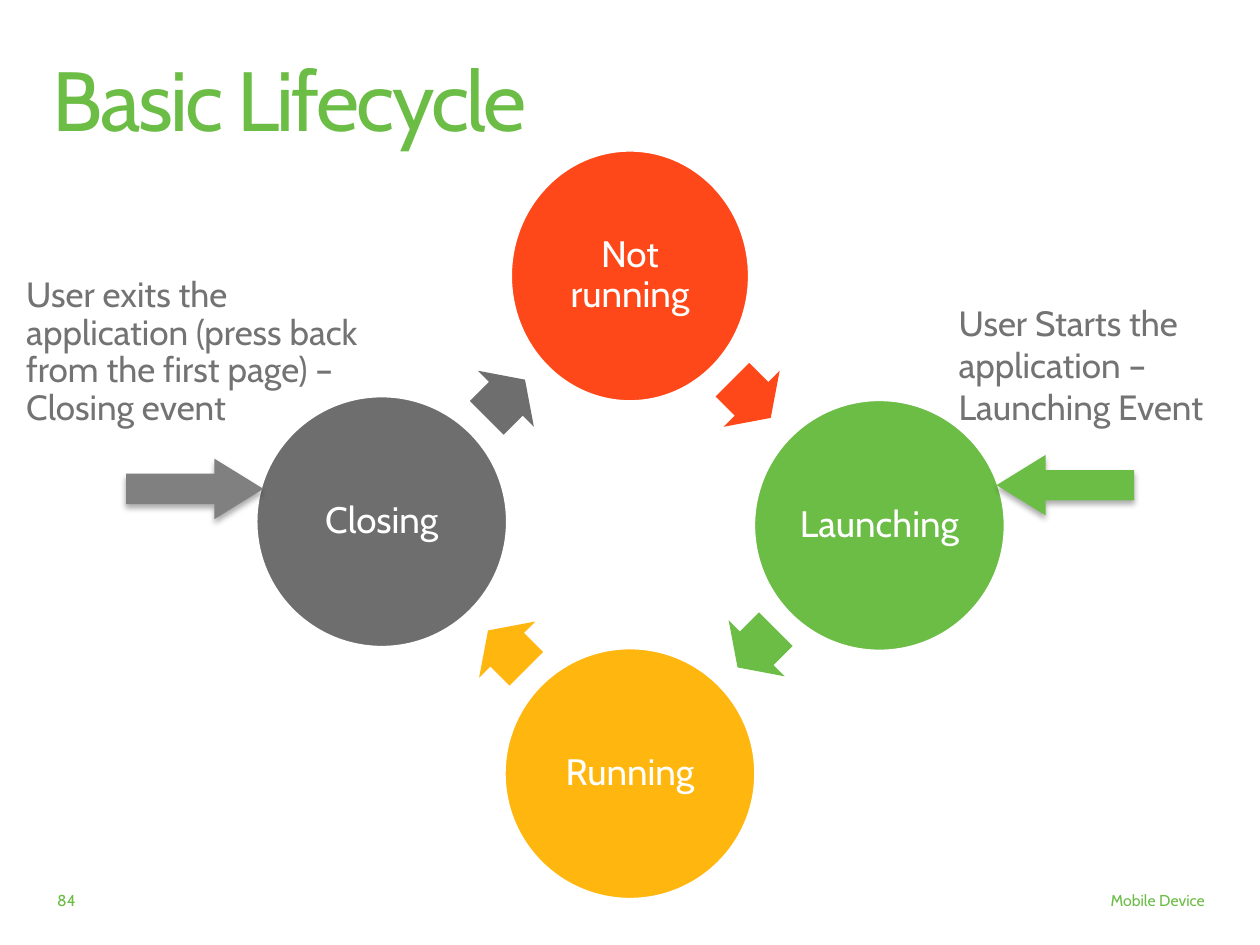
"""Build the Basic Lifecycle slide: four states in a cycle with two outside events."""
from lxml import etree
from pptx import Presentation
from pptx.dml.color import RGBColor
from pptx.enum import shapes, text
from pptx.oxml import ns
from pptx.util import Inches, Pt

FONT = "Cabin"
GREEN, RED, YELLOW, GRAY = "6BBD46", "FF4819", "FFB70F", "6E6E6E"
WHITE, NOTE_GRAY, ARROW_GRAY = "FFFFFF", "737373", "808080"
LEFT, CENTER, RIGHT = text.PP_ALIGN.LEFT, text.PP_ALIGN.CENTER, text.PP_ALIGN.RIGHT
TOP, MIDDLE = text.MSO_ANCHOR.TOP, text.MSO_ANCHOR.MIDDLE
NO_INSETS, CIRCLE_INSETS, NOTE_INSETS = (0, 0), (0.03, 0.03), (0.1, 0.05)

TEXTS = [
    ("Mobile Device", (6.33, 7.02, 3.33, 0.25), 9, GREEN, RIGHT, TOP, NOTE_INSETS, 1),
    ("Basic Lifecycle", (0.42, 0.47, 9.15, 0.73), 48, GREEN, LEFT, TOP, NO_INSETS, 0.9),
    ("84", (0, 7.02, 0.6, 0.25), 9, GREEN, RIGHT, MIDDLE, NO_INSETS, 1),
    ("User exits the application (press back from the first page) – Closing event",
     (0.11, 2.15, 3.02, 1.31), 20, NOTE_GRAY, LEFT, TOP, NOTE_INSETS, 0.9),
    ("User Starts the application – Launching Event",
     (7.51, 2.34, 2.49, 1.11), 20, NOTE_GRAY, LEFT, TOP, NOTE_INSETS, 1),
]
STATES = [
    ("Not running", RED, (4.05, 1.19, 1.9, 2), (5.75, 2.85)),
    ("Launching", GREEN, (5.98, 3.17, 2, 2), (5.79, 4.83)),
    ("Running", YELLOW, (4, 5.14, 2, 2), (3.81, 4.84)),
    ("Closing", GRAY, (2.03, 3.14, 2, 2), (3.8, 2.85)),
]
STEP_SIZE = (0.43, 0.63)
EVENTS = [(GREEN, (7.91, 3.61, 1.09, 0.48), 180), (ARROW_GRAY, (1, 3.64, 1.09, 0.48), 0)]


def rgb(color):
    """Turn a hex string into a colour."""
    return RGBColor.from_string(color)


def write(shape, words, size, color, align, anchor, insets, spacing):
    """Put one paragraph of formatted text in a shape."""
    frame = shape.text_frame
    frame.word_wrap = True
    frame.vertical_anchor = anchor
    frame.margin_left = frame.margin_right = Inches(insets[0])
    frame.margin_top = frame.margin_bottom = Inches(insets[1])
    paragraph = frame.paragraphs[0]
    paragraph.text = words
    paragraph.alignment = align
    paragraph.line_spacing = spacing
    paragraph.font.name = FONT
    paragraph.font.size = Pt(size)
    paragraph.font.color.rgb = rgb(color)
    return paragraph


def add_shape(slide, kind, box, color):
    """Add a flat filled shape without an outline."""
    shape = slide.shapes.add_shape(kind, *map(Inches, box))
    shape.shadow.inherit = False
    shape.fill.solid()
    shape.fill.fore_color.rgb = rgb(color)
    shape.line.fill.background()
    return shape


def add_arrow(slide, box, color, rotation, adjustments):
    """Add a rotated block arrow."""
    arrow = add_shape(slide, shapes.MSO_SHAPE.RIGHT_ARROW, box, color)
    arrow.rotation = rotation
    arrow.adjustments[0], arrow.adjustments[1] = adjustments
    return arrow


def add_shadow(shape):
    """Give a shape a soft shadow below it."""
    effects = shape._element.spPr.find(ns.qn("a:effectLst"))
    shadow = etree.SubElement(effects, ns.qn("a:outerShdw"), blurRad=str(Pt(3.5)),
                              dist=str(Pt(2.2)), dir="5400000", rotWithShape="0")
    color = etree.SubElement(shadow, ns.qn("a:srgbClr"), val="000000")
    etree.SubElement(color, ns.qn("a:alpha"), val="32000")


def main():
    """Create and save the slide."""
    presentation = Presentation()
    presentation.slide_width, presentation.slide_height = Inches(10), Inches(7.5)
    slide = presentation.slides.add_slide(presentation.slide_layouts[6])

    for index, (words, color, box, place) in enumerate(STATES):
        circle = add_shape(slide, shapes.MSO_SHAPE.OVAL, box, color)
        circle.line.color.rgb = rgb(WHITE)
        circle.line.width = Pt(2)
        write(circle, words, 21, WHITE, CENTER, MIDDLE, CIRCLE_INSETS, 0.9)
        add_arrow(slide, place + STEP_SIZE, color, 45 + 90 * index, (0.6, 0.5))

    for words, box, *style in TEXTS:
        paragraph = write(slide.shapes.add_textbox(*map(Inches, box)), words, *style)
        if words == "Basic Lifecycle":
            paragraph.runs[0]._r.get_or_add_rPr().set("spc", "-150")

    for color, box, rotation in EVENTS:
        add_shadow(add_arrow(slide, box, color, rotation, (0.5, 0.81)))

    presentation.save("out.pptx")


if __name__ == "__main__":
    main()
